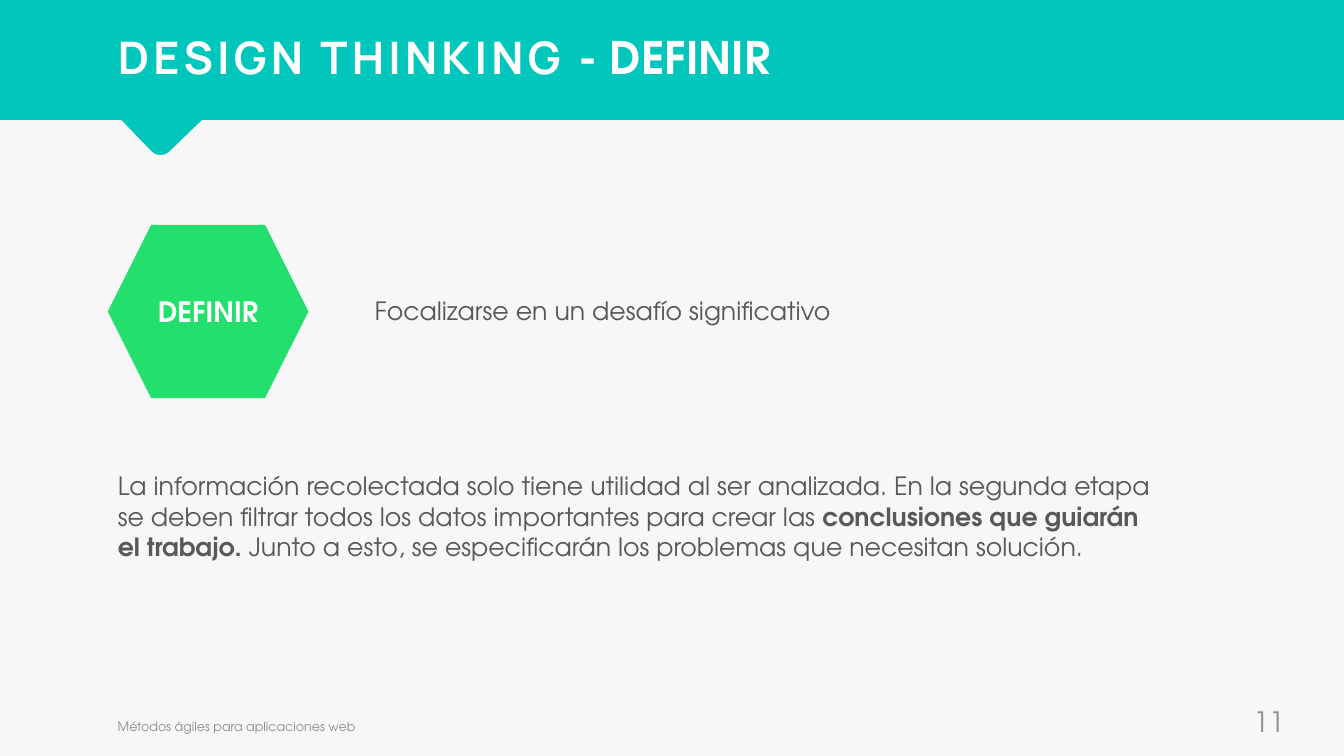
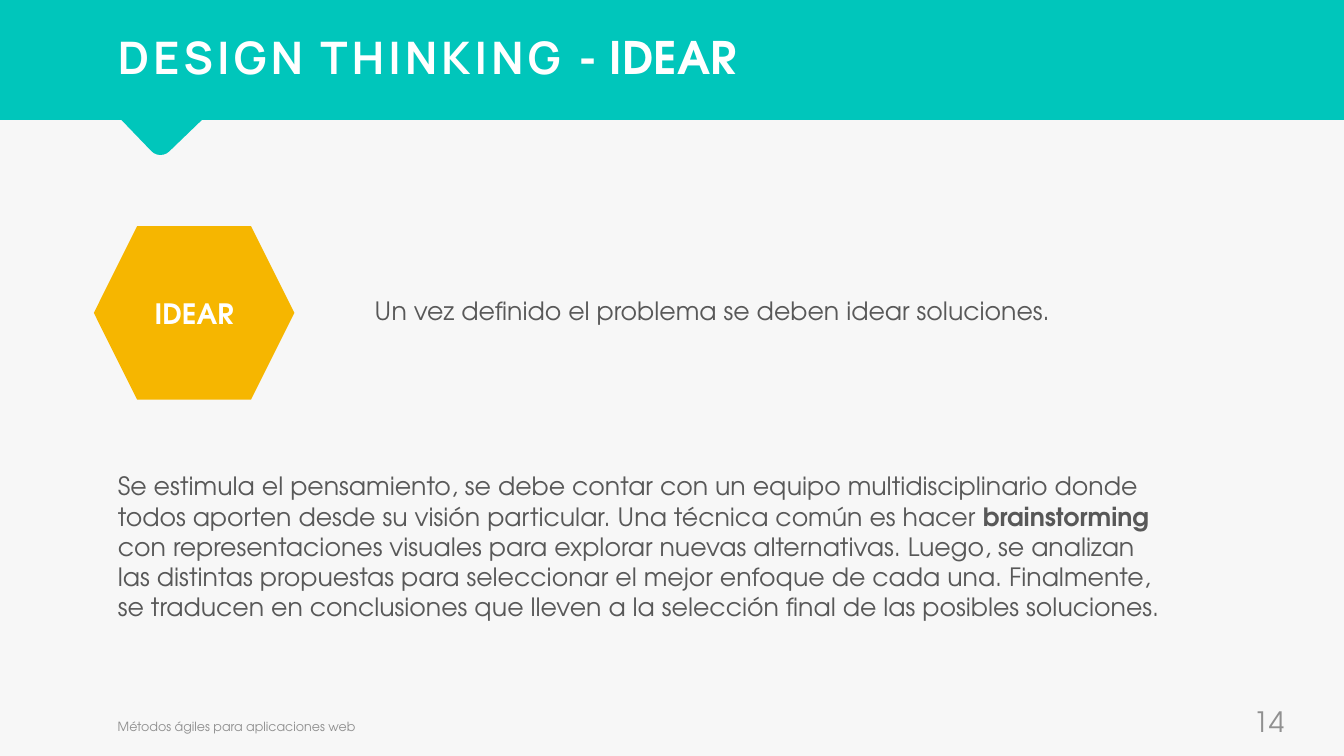
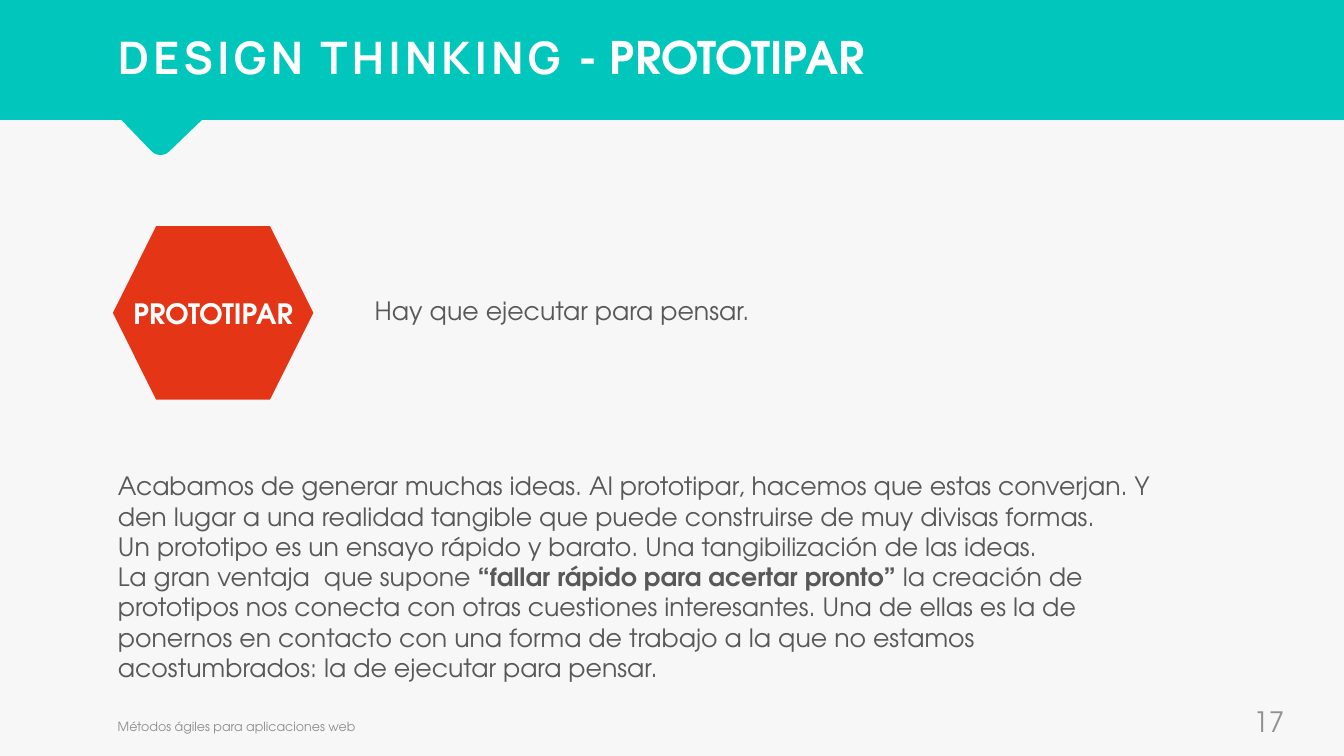
from dataclasses import dataclass

from lxml import etree
from pptx import Presentation
from pptx.dml.color import RGBColor
from pptx.enum.shapes import MSO_SHAPE
from pptx.enum.text import MSO_ANCHOR, MSO_AUTO_SIZE, PP_ALIGN
from pptx.oxml.ns import qn
from pptx.util import Pt

RECTANGLE = MSO_SHAPE.RECTANGLE
ROUNDED = MSO_SHAPE.ROUNDED_RECTANGLE
HEXAGON = MSO_SHAPE.HEXAGON
TOP, MIDDLE, BOTTOM = MSO_ANCHOR.TOP, MSO_ANCHOR.MIDDLE, MSO_ANCHOR.BOTTOM
LEFT, CENTER, RIGHT = PP_ALIGN.LEFT, PP_ALIGN.CENTER, PP_ALIGN.RIGHT
NO_FIT = MSO_AUTO_SIZE.NONE


@dataclass(frozen=True)
class Theme:
    """Colours, fonts and type sizes shared by the slides."""
    background: str = "F7F7F7"
    band: str = "00C6BB"
    light: str = "FFFFFF"
    text: str = "585858"
    muted: str = "909090"
    font: str = "TeX Gyre Adventor"
    title_font: str = "Manrope"
    title_size: float = 32
    label_size: float = 20
    body_size: float = 18
    footer_size: float = 9
    title_spacing: str = "300"
    line_height: float = 21.6


@dataclass(frozen=True)
class Box:
    """A rectangle in points."""
    left: float
    top: float
    width: float
    height: float

    def lengths(self):
        """Return left, top, width and height as lengths."""
        return Pt(self.left), Pt(self.top), Pt(self.width), Pt(self.height)


@dataclass(frozen=True)
class Stage:
    """Content of one stage slide; odd runs of a paragraph are bold."""
    name: str
    number: int
    color: str
    hexagon_left: float
    hexagon_top: float
    statement: str
    line_count: int
    paragraphs: tuple


THEME = Theme()
PAGE = Box(0, 0, 960, 540)
BAND = Box(0, 0, 960, 85.7)
TITLE = Box(77, 17.3, 815, 46)
FOOTER = Box(77, 499, 680.4, 28.8)
NUMBER = Box(841, 483.1, 83.5, 44.6)
STATEMENT = Box(260.6, 207.4, 622, 28.8)
HEXAGON_WIDTH, HEXAGON_HEIGHT = 143.3, 123.8
BODY_TOP, BODY_WIDTH = 332.6, 764

STAGES = (
    Stage("DEFINIR", 11, "23E06E", 77, 160.6,
          "Focalizarse en un desafío significativo", 3,
          (("La información recolectada solo tiene utilidad al ser analizada. En la segunda "
            "etapa se deben filtrar todos los datos importantes para crear las ",
            "conclusiones que guiarán el trabajo.",
            " Junto a esto, se especificarán los problemas que necesitan solución."),)),
    Stage("IDEAR", 14, "F6B600", 67, 161.6,
          "Un vez definido el problema se deben idear soluciones.", 5,
          (("Se estimula el pensamiento, se debe contar con un equipo multidisciplinario donde "
            "todos aporten desde su visión particular. Una técnica común es hacer ",
            "brainstorming ",
            "con representaciones visuales para explorar nuevas alternativas. Luego, se "
            "analizan las distintas propuestas para seleccionar el mejor enfoque de cada una. "
            "Finalmente, se traducen en conclusiones que lleven a la selección final de las "
            "posibles soluciones."),)),
    Stage("PROTOTIPAR", 17, "E43617", 80.6, 161.6,
          "Hay que ejecutar para pensar.", 7,
          (("Acabamos de generar muchas ideas. Al prototipar, hacemos que estas converjan. Y "
            "den lugar a una realidad tangible que puede construirse de muy divisas formas.",),
           ("Un prototipo es un ensayo rápido y barato. Una tangibilización de las ideas.",),
           ("La gran ventaja  que supone ",
            "“fallar rápido para acertar pronto”",
            " la creación de prototipos nos conecta con otras cuestiones interesantes. Una de "
            "ellas es la de ponernos en contacto con una forma de trabajo a la que no estamos "
            "acostumbrados: la de ejecutar para pensar."))),
)


def place(shape, box):
    """Move and size a shape to a box."""
    shape.left, shape.top, shape.width, shape.height = box.lengths()


def prepare_frame(shape, anchor=TOP, wrap=True):
    """Set how text sits in a shape and return its text frame."""
    frame = shape.text_frame
    frame.word_wrap = wrap
    frame.auto_size = NO_FIT
    frame.vertical_anchor = anchor
    return frame


def format_paragraph(paragraph, size, color, bold=False, alignment=LEFT):
    """Give a paragraph the theme font and plain spacing."""
    paragraph.alignment = alignment
    paragraph.space_before = Pt(0)
    font = paragraph.font
    font.name, font.size, font.bold = THEME.font, Pt(size), bold
    font.color.rgb = RGBColor.from_string(color)


def add_text(slide, box, text, size, color, anchor=TOP, alignment=LEFT):
    """Add a one-paragraph text box and return it."""
    shape = slide.shapes.add_textbox(*box.lengths())
    paragraph = prepare_frame(shape, anchor).paragraphs[0]
    paragraph.text = text
    format_paragraph(paragraph, size, color, alignment=alignment)
    return shape


def add_filled(slide, kind, box, color):
    """Add a flat preset shape without outline."""
    shape = slide.shapes.add_shape(kind, *box.lengths())
    shape.shadow.inherit = False
    shape.fill.solid()
    shape.fill.fore_color.rgb = RGBColor.from_string(color)
    shape.line.fill.background()
    return shape


def build_layout(slide):
    """Move the shared band, pointer and footer to the layout of a slide."""
    layout = slide.slide_layout
    for placeholder in list(layout.placeholders)[2:]:
        layout.shapes.element.remove(placeholder.element)
    band = add_filled(slide, RECTANGLE, BAND, THEME.band)
    pointer_box = Box(BAND.left + 82.8, BAND.top + 36, 92.2, 54)
    pointer = add_filled(slide, ROUNDED, pointer_box, THEME.band)
    pointer.rotation = 316.1
    footer = add_text(slide, FOOTER, "Métodos ágiles para aplicaciones web",
                      THEME.footer_size, THEME.muted, BOTTOM)
    for position, shape in enumerate((band, pointer, footer), 2):
        layout.shapes.element.insert(position, shape.element)


def fill_title(slide, box, name):
    """Fill the title with the spaced heading and the stage name."""
    title = slide.shapes.title
    place(title, box)
    paragraph = prepare_frame(title).paragraphs[0]
    format_paragraph(paragraph, THEME.title_size, THEME.light, bold=True)
    heading = paragraph.add_run()
    heading.text = "DESIGN THINKING "
    heading.font.name = THEME.title_font
    heading._r.get_or_add_rPr().set("spc", THEME.title_spacing)
    paragraph.add_run().text = f"- {name}"


def fill_body(slide, box, paragraphs):
    """Fill the body placeholder with unbulleted paragraphs."""
    body = slide.placeholders[1]
    place(body, box)
    frame = prepare_frame(body)
    for index, parts in enumerate(paragraphs):
        paragraph = frame.add_paragraph() if index else frame.paragraphs[0]
        properties = paragraph._p.get_or_add_pPr()
        properties.set("marL", "0")
        properties.set("indent", "0")
        etree.SubElement(properties, qn("a:buNone"))
        format_paragraph(paragraph, THEME.body_size, THEME.text)
        for position, part in enumerate(parts):
            run = paragraph.add_run()
            run.text = part
            run.font.bold = position % 2 == 1


def add_badge(slide, box, name, color):
    """Add the coloured hexagon with the stage name."""
    hexagon = add_filled(slide, HEXAGON, box, color)
    paragraph = prepare_frame(hexagon, MIDDLE, wrap=False).paragraphs[0]
    paragraph.text = name
    format_paragraph(paragraph, THEME.label_size, THEME.light, True, CENTER)


def add_page_number(slide, box, number):
    """Add the page number at the bottom right."""
    shape = add_text(slide, box, str(number), THEME.label_size, THEME.muted, BOTTOM, RIGHT)
    shape.text_frame.margin_bottom = Pt(0.7)


def fill_stage(slide, stage):
    """Fill one stage slide."""
    fill_title(slide, TITLE, stage.name)
    body_height = 7.2 + stage.line_count * THEME.line_height
    fill_body(slide, Box(TITLE.left, BODY_TOP, BODY_WIDTH, body_height), stage.paragraphs)
    add_text(slide, STATEMENT, stage.statement, THEME.body_size, THEME.text)
    hexagon_box = Box(stage.hexagon_left, stage.hexagon_top, HEXAGON_WIDTH, HEXAGON_HEIGHT)
    add_badge(slide, hexagon_box, stage.name, stage.color)
    add_page_number(slide, NUMBER, stage.number)


def main():
    """Build and save the presentation."""
    presentation = Presentation()
    presentation.slide_width, presentation.slide_height = Pt(PAGE.width), Pt(PAGE.height)
    background = presentation.slide_master.background.fill
    background.solid()
    background.fore_color.rgb = RGBColor.from_string(THEME.background)
    layout = presentation.slide_layouts[1]
    slides = [presentation.slides.add_slide(layout) for _ in STAGES]
    build_layout(slides[0])
    for slide, stage in zip(slides, STAGES):
        fill_stage(slide, stage)
    presentation.save("out.pptx")


if __name__ == "__main__":
    main()
